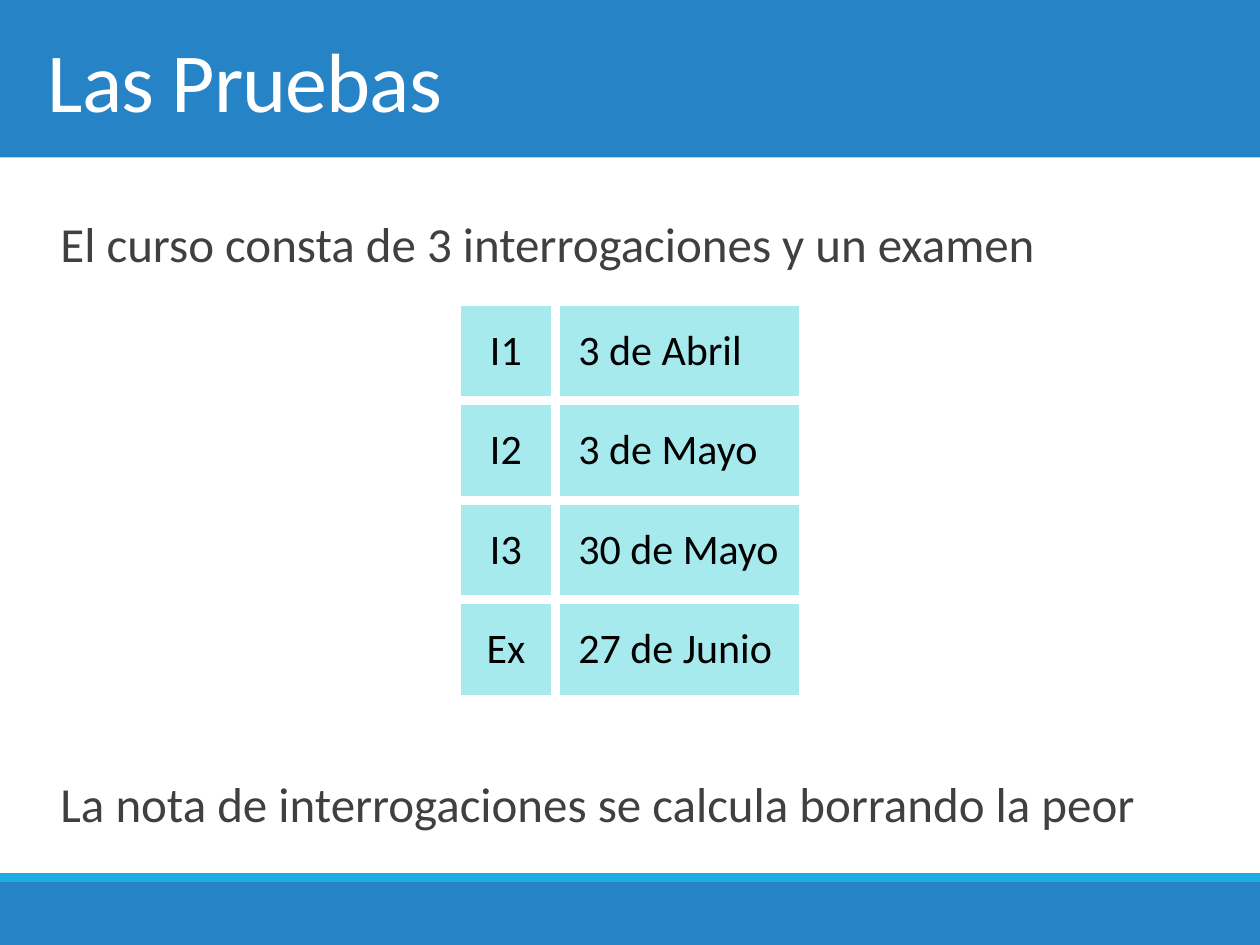
"""Build the slide listing the course tests and their dates."""
from lxml.etree import SubElement
from pptx import Presentation
from pptx.dml.color import RGBColor
from pptx.enum.shapes import MSO_SHAPE
from pptx.enum.text import MSO_ANCHOR, MSO_AUTO_SIZE, PP_ALIGN
from pptx.oxml.ns import qn
from pptx.util import Inches, Pt


def paint(fill, colour):
    fill.solid()
    fill.fore_color.rgb = RGBColor.from_string(colour)


def add_run(paragraph, text, size, colour):
    run = paragraph.add_run()
    run.text = text
    run.font.name = "Calibri"
    run.font.size = Pt(size)
    paint(run.font.fill, colour)
    return run


presentation = Presentation()
presentation.slide_width = Inches(10)
presentation.slide_height = Inches(7.5)
slide = presentation.slides.add_slide(presentation.slide_layouts[5])
width, height = presentation.slide_width, presentation.slide_height
header_height = height // 6
margin = Inches(0.28)
content_width = width - 2 * margin

bars = [
    (0, header_height, "2683C6"),
    (Inches(7), Inches(0.5), "2683C6"),
    (Inches(6.93), Inches(0.07), "1CADE4"),
]
for top, bar_height, colour in bars:
    bar = slide.shapes.add_shape(MSO_SHAPE.RECTANGLE, 0, top, width, bar_height)
    bar.shadow.inherit = False
    bar.line.fill.background()
    paint(bar.fill, colour)

title = slide.shapes.title
title.element.getparent().append(title.element)
title.left, title.top, title.width, title.height = margin, 0, content_width, header_height
title.text_frame.vertical_anchor = MSO_ANCHOR.MIDDLE
title.text_frame.auto_size = MSO_AUTO_SIZE.NONE
title_paragraph = title.text_frame.paragraphs[0]
title_paragraph.alignment = PP_ALIGN.LEFT
title_run = add_run(title_paragraph, "Las Pruebas", 48, "FFFFFF")
title_run.font._element.set("spc", "-50")

body = slide.shapes.add_textbox(margin, Inches(1.41), content_width, Inches(5.36))
body.text_frame.word_wrap = True
body.text_frame.margin_left = Inches(0.2)
statements = [
    ("El curso consta de 3 interrogaciones y un examen", 12),
    ("La nota de interrogaciones se calcula borrando la peor", 268),
]
for index, (statement, space_before) in enumerate(statements):
    paragraph = body.text_frame.add_paragraph() if index else body.text_frame.paragraphs[0]
    paragraph.line_spacing = 1.5
    paragraph.space_before = Pt(space_before)
    paragraph.space_after = Pt(2)
    add_run(paragraph, statement, 28, "404040")

tests = [
    ("I1", "3 de Abril"),
    ("I2", "3 de Mayo"),
    ("I3", "30 de Mayo"),
    ("Ex", "27 de Junio"),
]
row_height = Inches(0.79)
column_widths = [row_height, Inches(1.97)]
table_width = sum(column_widths)
table = slide.shapes.add_table(
    len(tests), 2, (width - table_width) // 2, Inches(2.39), table_width, row_height * len(tests)
).table
table.first_row = False
table.horz_banding = False
for column, column_width in zip(table.columns, column_widths):
    column.width = column_width
for row, test in zip(table.rows, tests):
    row.height = row_height
    for column_index, (cell, text) in enumerate(zip(row.cells, test)):
        cell.vertical_anchor = MSO_ANCHOR.MIDDLE
        cell.margin_left = Inches(0.18 if column_index else 0.1)
        properties = cell._tc.get_or_add_tcPr()
        for side in ("a:lnL", "a:lnR", "a:lnT", "a:lnB"):
            border = SubElement(properties, qn(side), w=str(Pt(6)))
            border_fill = SubElement(border, qn("a:solidFill"))
            SubElement(border_fill, qn("a:srgbClr"), val="FFFFFF")
        paint(cell.fill, "A6EAEE")
        paragraph = cell.text_frame.paragraphs[0]
        paragraph.alignment = PP_ALIGN.LEFT if column_index else PP_ALIGN.CENTER
        add_run(paragraph, text, 24, "000000")

presentation.save("out.pptx")
